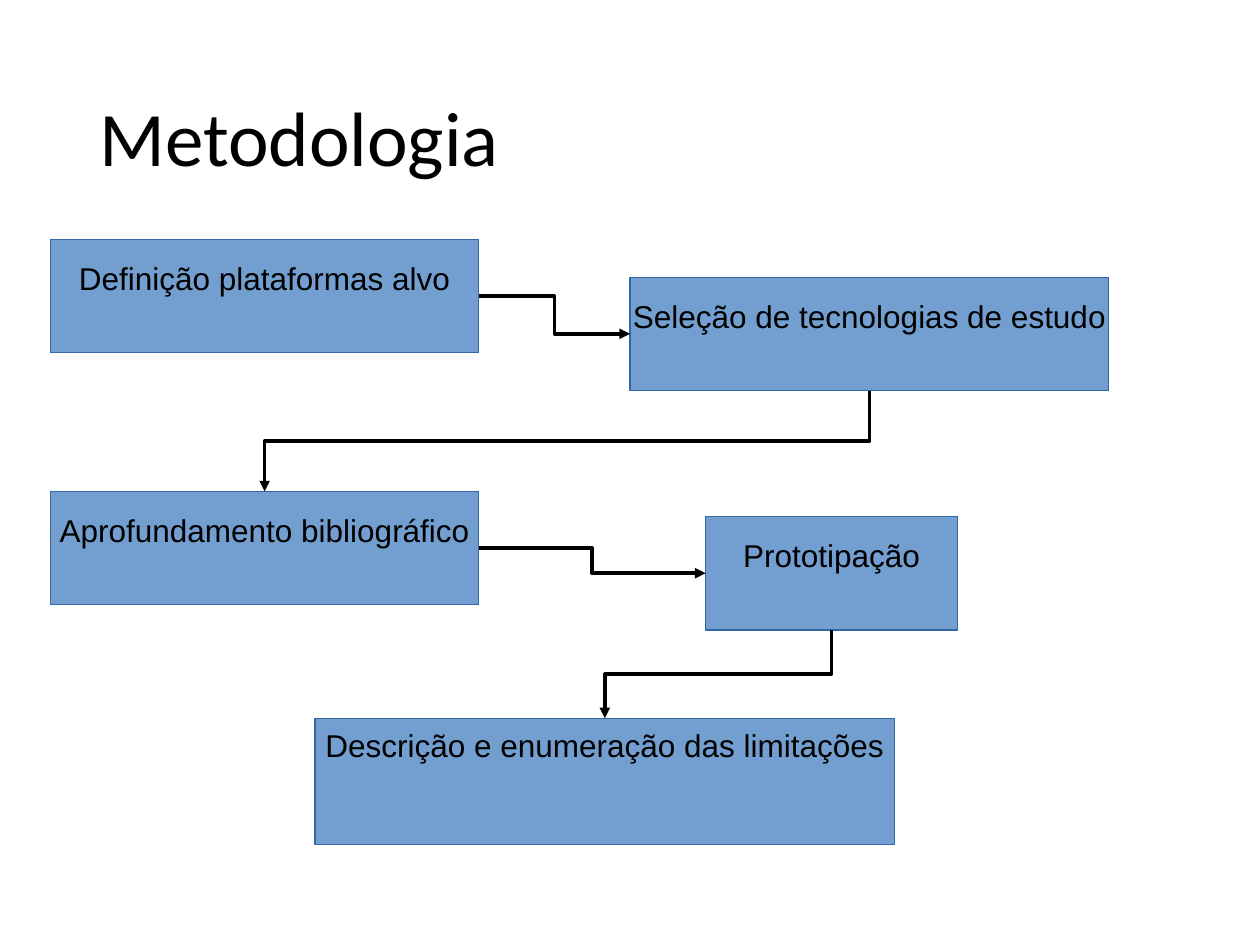
import dataclasses

import lxml.etree
import pptx
import pptx.dml.color
import pptx.enum.shapes
import pptx.enum.text
import pptx.oxml.ns
import pptx.util

PX = 9144  # EMU per px, 100 px to the inch
LINE_HEIGHT = 29  # one line of 18 pt Arial
INSET = 5
BLACK, BLUE, DARK_BLUE = "000000", "729FCF", "3465A4"


@dataclasses.dataclass(frozen=True)
class Step:
    text: str
    left: int
    top: int
    width: int
    height: int = 90
    lines_below: int = 1  # room kept free under the text

    @property
    def center_x(self) -> int:
        return self.left + self.width // 2

    @property
    def middle_y(self) -> int:
        return self.top + self.height // 2


def px(length: float) -> int:
    return round(length * PX)


def color(hex_code: str) -> pptx.dml.color.RGBColor:
    return pptx.dml.color.RGBColor.from_string(hex_code)


def add_run(paragraph, text: str, size: int, font: str) -> None:
    run = paragraph.add_run()
    run.text = text
    run.font.size = pptx.util.Pt(size)
    run.font.name = font
    run.font.color.rgb = color(BLACK)


def add_title(slide, text: str) -> None:
    frame = slide.shapes.add_textbox(px(69), px(40), px(862), px(145)).text_frame
    frame.word_wrap = True
    frame.vertical_anchor = pptx.enum.text.MSO_ANCHOR.MIDDLE
    paragraph = frame.paragraphs[0]
    paragraph.line_spacing = 0.9
    add_run(paragraph, text, 44, "Calibri")


def add_step(slide, step: Step) -> None:
    shape = slide.shapes.add_shape(
        pptx.enum.shapes.MSO_SHAPE.FLOWCHART_PROCESS,
        px(step.left), px(step.top), px(step.width), px(step.height))
    shape.shadow.inherit = False
    shape.fill.solid()
    shape.fill.fore_color.rgb = color(BLUE)
    shape.line.color.rgb = color(DARK_BLUE)
    shape.line.width = pptx.util.Pt(0)

    frame = shape.text_frame
    frame.word_wrap = False
    frame.vertical_anchor = pptx.enum.text.MSO_ANCHOR.MIDDLE
    frame.margin_top = px(INSET)
    frame.margin_bottom = px(INSET + step.lines_below * LINE_HEIGHT)
    paragraph = frame.paragraphs[0]
    paragraph.alignment = pptx.enum.text.PP_ALIGN.CENTER
    add_run(paragraph, step.text, 18, "Arial")


def add_elbow(slide, left: float, top: float, right: float, bottom: float):
    connector = slide.shapes.add_connector(
        pptx.enum.shapes.MSO_CONNECTOR.ELBOW,
        px(left), px(top), px(right), px(bottom))
    connector.line.color.rgb = color(BLACK)
    connector.line.width = pptx.util.Pt(0)
    qn = pptx.oxml.ns.qn
    line = connector.line._get_or_add_ln()
    lxml.etree.SubElement(line, qn("a:tailEnd"), type="triangle")
    lxml.etree.SubElement(connector._element.spPr, qn("a:effectLst"))
    return connector


def add_arrow_across(slide, source: Step, target: Step) -> None:
    """Arrow from the right side of source to the left side of target."""
    add_elbow(slide, source.left + source.width, source.middle_y,
              target.left, target.middle_y)


def add_arrow_down(slide, source: Step, target: Step) -> None:
    """Arrow from the bottom of source down and left to the top of target."""
    start_y = source.top + source.height
    center_x = (source.center_x + target.center_x) / 2
    center_y = (start_y + target.top) / 2
    half_drop = (target.top - start_y) / 2
    half_run = (source.center_x - target.center_x) / 2
    # The elbow is laid out sideways, then turned a quarter clockwise
    connector = add_elbow(slide, center_x - half_drop, center_y - half_run,
                          center_x + half_drop, center_y + half_run)
    connector._element.spPr.find(pptx.oxml.ns.qn("a:xfrm")).set("rot", "5400000")


def main() -> None:
    presentation = pptx.Presentation()
    presentation.slide_width, presentation.slide_height = px(1000), px(750)
    slide = presentation.slides.add_slide(presentation.slide_layouts[6])

    add_title(slide, "Metodologia")

    # Steps of the method
    platforms = Step("Definição plataformas alvo", 40, 190, 340)
    technologies = Step("Seleção de tecnologias de estudo", 500, 220, 380)
    literature = Step("Aprofundamento bibliográfico", 40, 390, 340)
    limitations = Step("Descrição e enumeração das limitações", 250, 570, 460, 100, 2)
    prototype = Step("Prototipação", 560, 410, 200)
    for step in (platforms, technologies, literature, limitations, prototype):
        add_step(slide, step)

    # Flow between the steps
    add_arrow_across(slide, platforms, technologies)
    add_arrow_down(slide, technologies, literature)
    add_arrow_across(slide, literature, prototype)
    add_arrow_down(slide, prototype, limitations)

    presentation.save("out.pptx")


if __name__ == "__main__":
    main()
